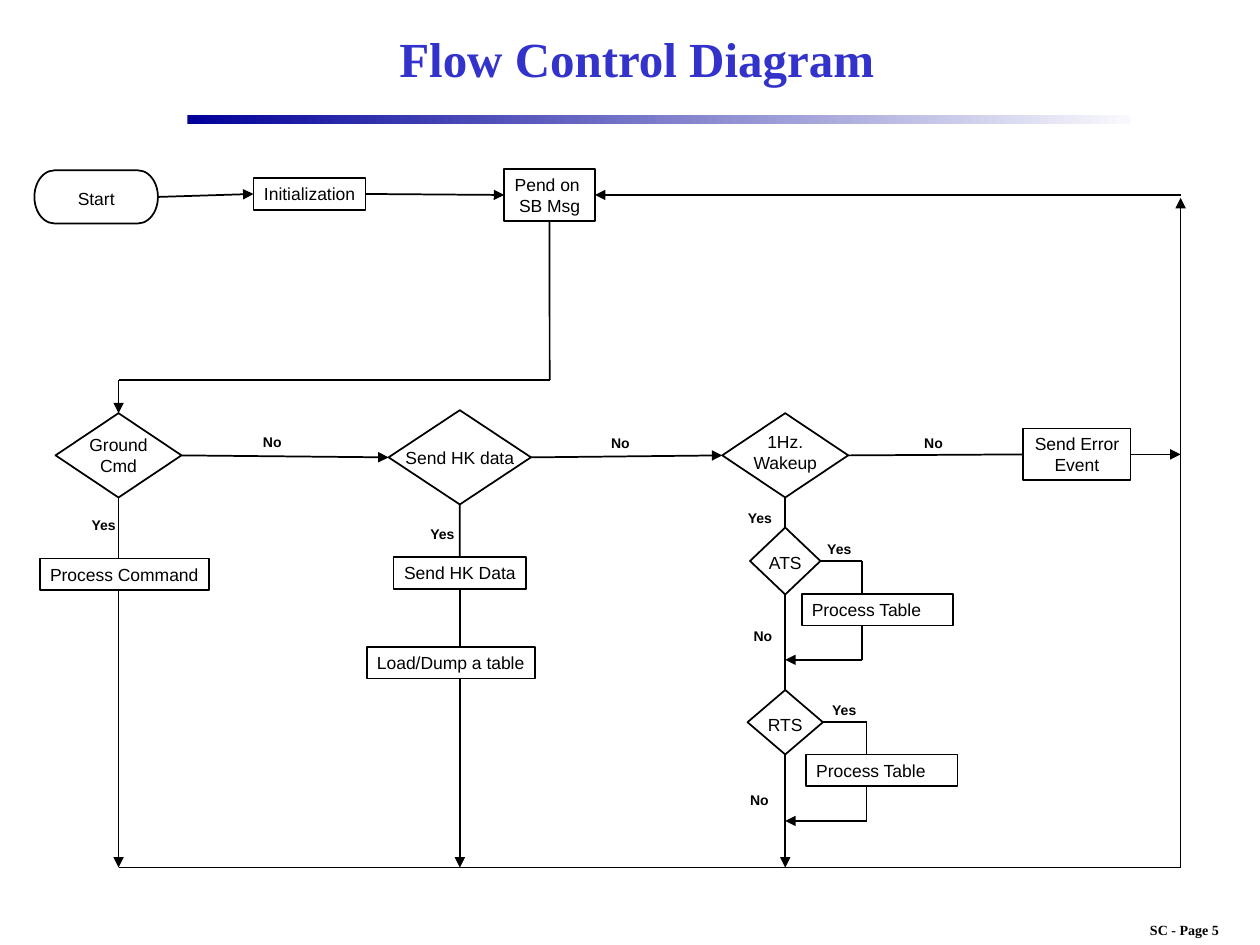
from lxml.etree import SubElement
from pptx import Presentation
from pptx.dml.color import RGBColor
from pptx.enum.shapes import MSO_CONNECTOR, MSO_SHAPE as SHAPE
from pptx.enum.text import MSO_ANCHOR as ANCHOR, PP_ALIGN as ALIGN
from pptx.oxml.ns import qn
from pptx.util import Cm, Pt

TITLE = "Flow Control Diagram"
FOOTER = "SC - Page 5"
BLACK, WHITE, BLUE = "000000", "FFFFFF", "3333CC"
BAR_COLOURS = ["000099", "F9F9FD"]
TOP, LEFT, BOTTOM, RIGHT = range(4)

GROUND_X, HK_X, PEND_X, WAKEUP_X, RAIL_X = 2.39, 9.27, 11.08, 15.83, 23.8
START_Y, TURN_Y, DECISION_Y, FLOOR_Y = 3.93, 7.66, 9.18, 17.49
BOX_HEIGHT = 0.64
BOX, DIAMOND, PILL = SHAPE.RECTANGLE, SHAPE.FLOWCHART_DECISION, SHAPE.FLOWCHART_TERMINATOR

# name: outline, centre x, centre y, width, height, text
NODES = {
    "start": (PILL, 1.94, 3.97, 2.49, 1.07, "Start"),
    "initialization": (BOX, 6.24, 3.91, 2.26, BOX_HEIGHT, "Initialization"),
    "pend": (BOX, PEND_X, START_Y, 1.83, 1.04, "Pend on \nSB Msg"),
    "ground": (DIAMOND, GROUND_X, DECISION_Y, 2.54, 1.7, "Ground\nCmd"),
    "hk": (DIAMOND, HK_X, 9.22, 2.87, 1.9, "Send HK data"),
    "wakeup": (DIAMOND, WAKEUP_X, DECISION_Y, 2.54, 1.7, "1Hz.\nWakeup"),
    "error": (BOX, 21.71, 9.16, 2.16, 1.04, "Send Error Event"),
    "command": (BOX, 2.51, 11.58, 3.4, BOX_HEIGHT, "Process Command"),
    "hk data": (BOX, HK_X, 11.55, 2.67, BOX_HEIGHT, "Send HK Data"),
    "load": (BOX, 9.09, 13.36, 3.38, BOX_HEIGHT, "Load/Dump a table"),
    "ats": (DIAMOND, WAKEUP_X, 11.31, 1.42, 1.35, "ATS"),
    "rts": (DIAMOND, WAKEUP_X, 14.56, 1.52, 1.3, "RTS"),
    "ats table": (BOX, 17.69, 12.29, 3.05, BOX_HEIGHT, "Process Table"),
    "rts table": (BOX, 17.78, 15.53, 3.05, BOX_HEIGHT, "Process Table"),
}
LEFT_ALIGNED = {"command", "load", "ats table", "rts table"}
WRAPPED = {"error", "ats table", "rts table"}
TEXT_DROP = {"start": 0.03, "wakeup": -0.06, "ats": 0.03, "rts": 0.05}

LABELS = {
    "Yes": [(2.09, 10.58), (8.92, 10.76), (15.32, 10.45), (16.92, 11.06), (17.02, 14.31)],
    "No": [(5.49, 8.9), (12.51, 8.93), (18.82, 8.93), (15.38, 12.81), (15.31, 16.12)],
}

ARROWS = [
    (("start", RIGHT), ("initialization", LEFT)),
    (("initialization", RIGHT), ("pend", LEFT)),
    ((GROUND_X, TURN_Y), ("ground", TOP)),
    (("ground", RIGHT), ("hk", LEFT)),
    (("hk", RIGHT), ("wakeup", LEFT)),
    (("error", RIGHT), (RAIL_X, 9.16)),
    ((GROUND_X, 11.9), (GROUND_X, FLOOR_Y)),
    ((HK_X, 13.68), (HK_X, FLOOR_Y)),
    (("rts", BOTTOM), (WAKEUP_X, FLOOR_Y)),
    ((RAIL_X, FLOOR_Y), (RAIL_X, 3.99)),
    ((RAIL_X, START_Y), ("pend", RIGHT)),
]
LINES = [
    (("pend", BOTTOM), (PEND_X, TURN_Y)),
    ((PEND_X, TURN_Y), (GROUND_X, TURN_Y)),
    (("ground", BOTTOM), (GROUND_X, 11.26)),
    (("hk", BOTTOM), ("hk data", TOP)),
    (("hk data", BOTTOM), (HK_X, 13.04)),
    (("wakeup", RIGHT), ("error", LEFT)),
    (("wakeup", BOTTOM), ("ats", TOP)),
    (("ats", BOTTOM), ("rts", TOP)),
    ((GROUND_X, FLOOR_Y), (RAIL_X, FLOOR_Y)),
]
LOOPS = [("ats", 17.38, 13.3), ("rts", 17.47, 16.55)]

for decision, loop_x, return_y in LOOPS:
    decision_y, table_y = NODES[decision][2], NODES[f"{decision} table"][2]
    LINES += [
        ((decision, RIGHT), (loop_x, decision_y)),
        ((loop_x, decision_y), (loop_x, table_y - BOX_HEIGHT / 2)),
        ((loop_x, table_y + BOX_HEIGHT / 2), (loop_x, return_y)),
    ]
    ARROWS.append(((loop_x, return_y), (WAKEUP_X, return_y)))


def colour(value):
    return RGBColor.from_string(value)


def write(shape, text, size, font="Arial", bold=False, ink=BLACK,
          align=ALIGN.CENTER, wrap=False, drop=0, side=0.2):
    frame = shape.text_frame
    frame.text = text
    frame.word_wrap = wrap
    frame.vertical_anchor = ANCHOR.MIDDLE
    frame.margin_left = frame.margin_right = Cm(side)
    frame.margin_top, frame.margin_bottom = Cm(0.1 + drop), Cm(0.1 - drop)
    for paragraph in frame.paragraphs:
        paragraph.alignment = align
        paragraph.font.name = font
        paragraph.font.size = Pt(size)
        paragraph.font.bold = bold
        paragraph.font.color.rgb = colour(ink)


def centred(x, y, width, height):
    return [Cm(value) for value in (x - width / 2, y - height / 2, width, height)]


def add_node(slide, name):
    outline, x, y, width, height, text = NODES[name]
    shape = slide.shapes.add_shape(outline, *centred(x, y, width, height))
    shape.shadow.inherit = False
    shape.fill.solid()
    shape.fill.fore_color.rgb = colour(WHITE)
    shape.line.color.rgb = colour(BLACK)
    shape.line.width = Pt(1)
    write(shape, text, 10,
          align=ALIGN.LEFT if name in LEFT_ALIGNED else ALIGN.CENTER,
          wrap=name in WRAPPED,
          drop=TEXT_DROP.get(name, 0),
          side=0 if outline == DIAMOND else 0.2)
    return shape


def add_line(slide, shapes, begin, end, arrow):
    connector = slide.shapes.add_connector(MSO_CONNECTOR.STRAIGHT, 0, 0, 0, 0)
    if begin[0] in shapes:
        connector.begin_connect(shapes[begin[0]], begin[1])
    else:
        connector.begin_x, connector.begin_y = Cm(begin[0]), Cm(begin[1])
    if end[0] in shapes:
        connector.end_connect(shapes[end[0]], end[1])
    else:
        connector.end_x, connector.end_y = Cm(end[0]), Cm(end[1])
    connector.line.color.rgb = colour(BLACK)
    connector.line.width = Pt(1)
    if arrow:
        SubElement(connector.line._get_or_add_ln(), qn("a:tailEnd"), type="triangle")
    SubElement(connector._element.spPr, qn("a:effectLst"))


def add_heading(slide):
    title = slide.shapes.title
    title.left, title.top, title.width, title.height = Cm(3.87), Cm(0.22), Cm(17.93), Cm(1.9)
    write(title, TITLE, 28, "Times New Roman", True, BLUE, wrap=True)
    bar = slide.shapes.add_shape(BOX, Cm(3.78), Cm(2.32), Cm(19.02), Cm(0.18))
    bar.shadow.inherit = False
    bar.line.fill.background()
    bar.fill.gradient()
    bar.fill.gradient_angle = 0
    for position, (stop, value) in enumerate(zip(bar.fill.gradient_stops, BAR_COLOURS)):
        stop.position = position
        stop.color.rgb = colour(value)


def main():
    presentation = Presentation()
    presentation.slide_width, presentation.slide_height = Cm(25.4), Cm(19.05)
    slide = presentation.slides.add_slide(presentation.slide_layouts[5])
    add_heading(slide)
    shapes = {name: add_node(slide, name) for name in NODES}
    for links, arrow in ((LINES, False), (ARROWS, True)):
        for begin, end in links:
            add_line(slide, shapes, begin, end, arrow)
    for text, centres in LABELS.items():
        for x, y in centres:
            write(slide.shapes.add_textbox(*centred(x, y, 0.9, 0.53)), text, 8, bold=True)
    footer = slide.shapes.add_textbox(*centred(23.88, 18.74, 2.4, 0.53))
    write(footer, FOOTER, 8, "Times New Roman", True)
    presentation.save("out.pptx")


if __name__ == "__main__":
    main()
